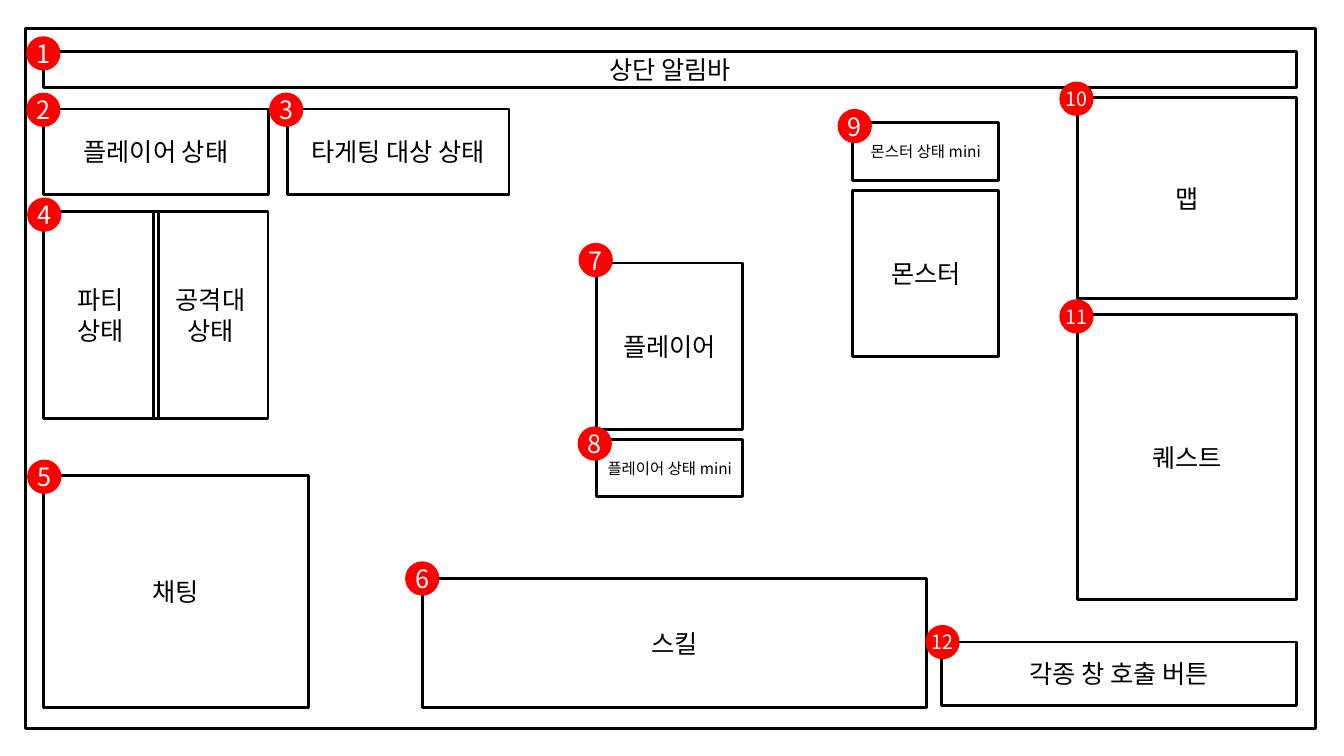
"""Build a slide showing the numbered screen layout of a game."""
from lxml.etree import SubElement
from pptx import Presentation
from pptx.dml.color import RGBColor
from pptx.enum.shapes import MSO_SHAPE
from pptx.enum.text import MSO_ANCHOR, PP_ALIGN
from pptx.oxml.ns import qn
from pptx.util import Pt

FONT = "Noto Sans CJK KR"
BLACK, WHITE, RED = "000000", "FFFFFF", "FF0000"
BADGE_SIZE = 24.5
LABEL_SIZE, MINI_SIZE, TWO_DIGIT_SIZE = 18, 11, 14

FRAME = (18, 20.2, 921.6, 500.4)
PANELS = [
    ("플레이어", 426.2, 187.9, 104.4, 118.8),
    ("스킬", 301.7, 413.3, 360, 92.2),
    ("맵", 769.7, 69.8, 156.2, 143.3),
    ("퀘스트", 769.7, 224.6, 156.2, 203.8),
    ("플레이어 상태", 31, 77.8, 160.6, 61.2),
    ("상단 알림바", 31, 36.7, 895, 25.9),
    ("채팅", 31, 339.8, 189.4, 165.6),
    ("각종 창 호출 버튼", 672.5, 458.6, 253.4, 45.4),
    ("파티\n상태", 31, 151.2, 82.1, 147.6),
    ("공격대\n상태", 109.4, 151.2, 82.1, 147.6),
    ("타게팅 대상 상태", 205.2, 77.8, 158.4, 61.2),
    ("몬스터", 609.1, 136.1, 104.4, 118.8),
]
MINI_PANELS = [
    ("플레이어 상태 mini", 426.2, 313.9, 104.4, 41),
    ("몬스터 상태 mini", 609.1, 87.8, 104.4, 41),
]
BADGE_CORNERS = [
    (18.7, 25.9), (18.7, 66.2), (192.2, 66.2), (19.4, 141.1),
    (19.4, 328.3), (289.4, 401), (413.3, 173.5), (412.6, 304.6),
    (598.3, 77.8), (756.7, 58.3), (756.7, 213.8), (661, 446.4),
]


def color(value):
    """Return the colour for a hex string."""
    return RGBColor.from_string(value)


def add_label(shape, text, size, text_color):
    """Write centred text into a shape."""
    frame = shape.text_frame
    frame.text = text
    frame.word_wrap = False
    frame.vertical_anchor = MSO_ANCHOR.MIDDLE
    frame.margin_left = frame.margin_right = 0
    frame.margin_top = frame.margin_bottom = 0
    for paragraph in frame.paragraphs:
        paragraph.alignment = PP_ALIGN.CENTER
        for span in paragraph.runs:
            span.font.size = Pt(size)
            span.font.color.rgb = color(text_color)
            span.font.name = FONT
            SubElement(span.font._element, qn("a:ea"), typeface=FONT)


def add_outline(page, left, top, width, height):
    """Add an unfilled rectangle with a black border."""
    box = page.shapes.add_shape(
        MSO_SHAPE.RECTANGLE, Pt(left), Pt(top), Pt(width), Pt(height))
    box.shadow.inherit = False
    box.fill.background()
    box.line.color.rgb = color(BLACK)
    box.line.width = Pt(2)
    return box


def add_badge(page, number, left, top):
    """Add a red circle holding a number."""
    badge = page.shapes.add_shape(
        MSO_SHAPE.OVAL, Pt(left), Pt(top), Pt(BADGE_SIZE), Pt(BADGE_SIZE))
    badge.shadow.inherit = False
    badge.fill.solid()
    badge.fill.fore_color.rgb = color(RED)
    badge.line.fill.background()
    size = LABEL_SIZE if number < 10 else TWO_DIGIT_SIZE
    add_label(badge, str(number), size, WHITE)


def main():
    """Build and save the deck."""
    deck = Presentation()
    deck.slide_width, deck.slide_height = Pt(960), Pt(540)
    page = deck.slides.add_slide(deck.slide_layouts[6])
    add_outline(page, *FRAME)
    for panels, size in ((PANELS, LABEL_SIZE), (MINI_PANELS, MINI_SIZE)):
        for text, *bounds in panels:
            add_label(add_outline(page, *bounds), text, size, BLACK)
    for number, corner in enumerate(BADGE_CORNERS, start=1):
        add_badge(page, number, *corner)
    deck.save("out.pptx")


if __name__ == "__main__":
    main()
